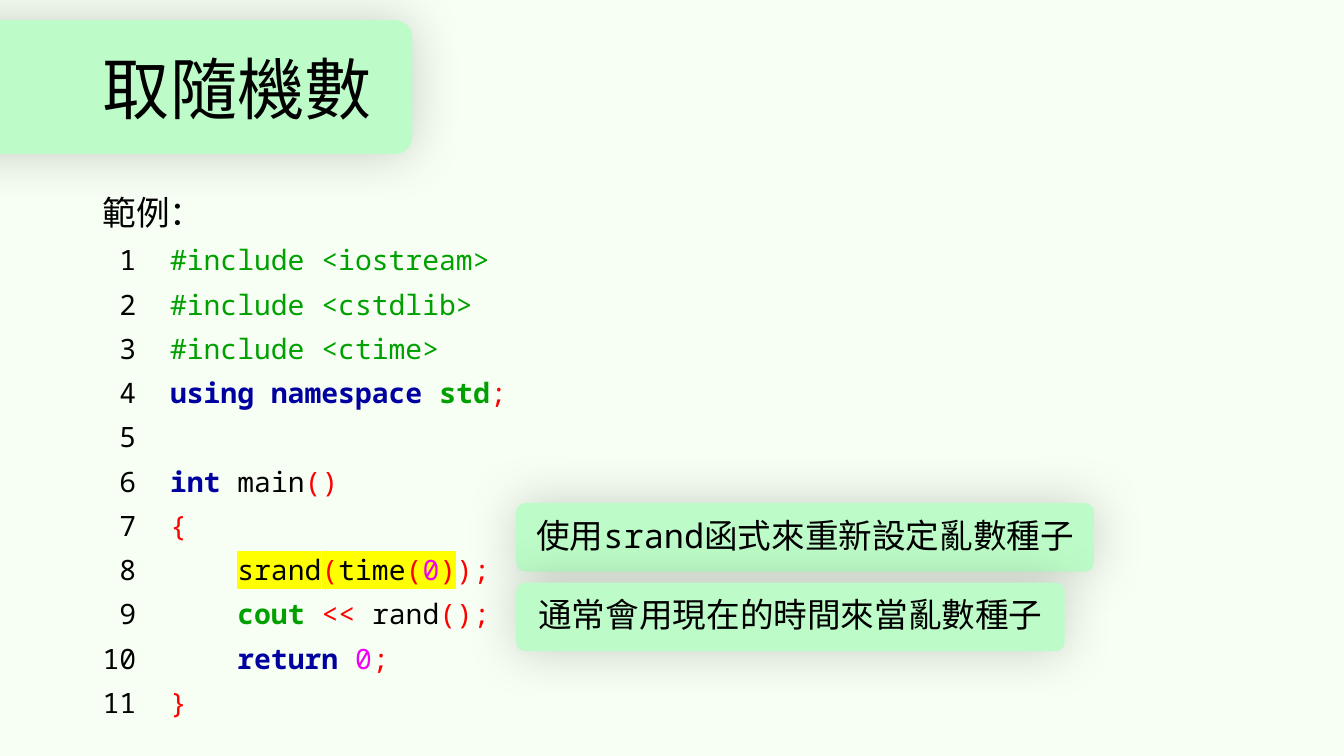
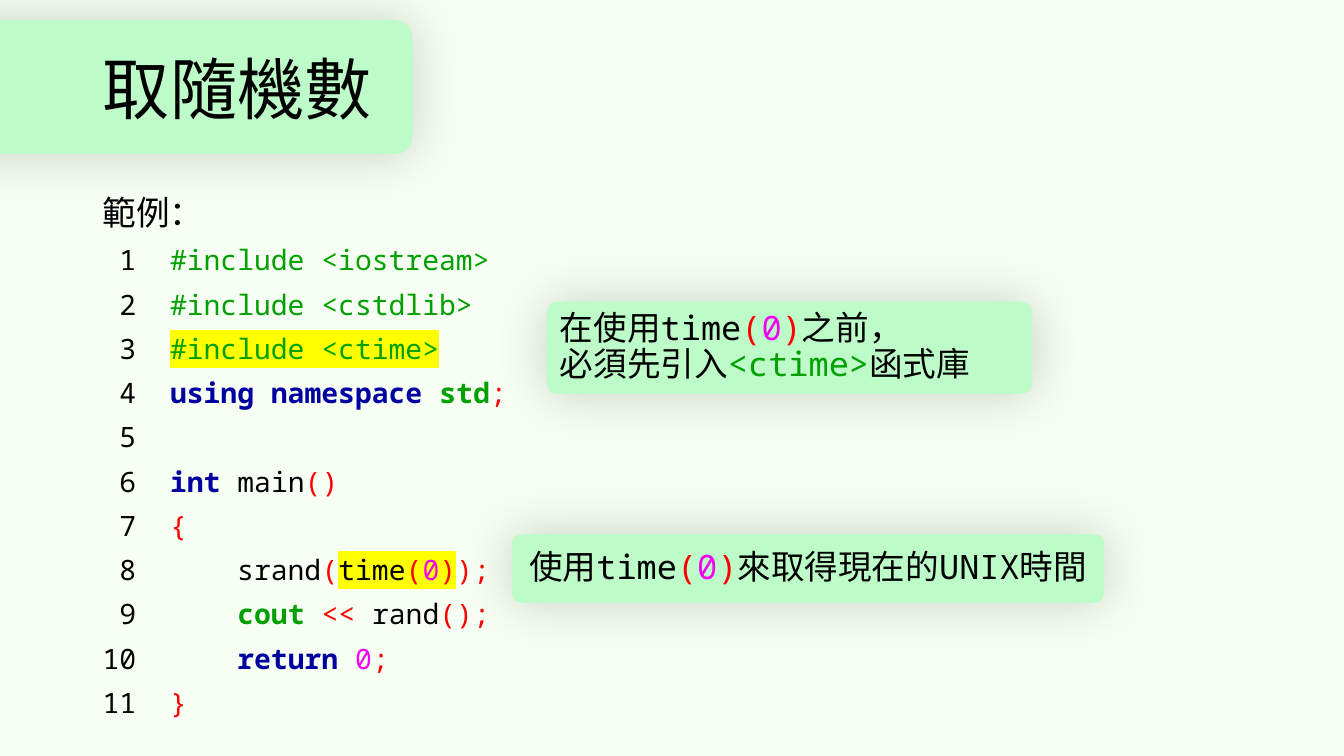
import pptx
import pptx.dml.color
import pptx.enum.shapes
import pptx.enum.text
import pptx.oxml
import pptx.oxml.ns
import pptx.util
from lxml import etree

Inches = pptx.util.Inches
Pt = pptx.util.Pt
ALIGN = pptx.enum.text.PP_ALIGN
ANCHOR = pptx.enum.text.MSO_ANCHOR

FONT = "Noto Sans Mono"
COLORS = {
    "page": "F7FFF4",
    "panel": "BDFCC8",
    "highlight": "FFFF00",
    "plain": "000000",
    "include": "00A000",
    "keyword": "0000A0",
    "name": "00A000",
    "sign": "FF0000",
    "number": "F000F0",
}
BOLD_KINDS = {"keyword", "name"}

TITLE = "取隨機數"
TITLE_BOX = (0.92, 0.39, 11.5, 1.05)
BANNER_BOX = (-1.55, 0.2, 5.64, 1.33)
CODE_BOX = (0.92, 1.9, 11.5, 5.15)
CODE_HEADING = "範例："

TIME_CALL = [("time", "plain"), ("(", "sign"), ("0", "number"), (")", "sign")]
CODE = [
    [("#include <iostream>", "include")],
    [("#include <cstdlib>", "include")],
    [("#include <ctime>", "include")],
    [("using namespace ", "keyword"), ("std", "name"), (";", "sign")],
    [],
    [("int ", "keyword"), ("main", "plain"), ("()", "sign")],
    [("{", "sign")],
    [("    ", "plain"), ("srand", "plain"), ("(", "sign"), *TIME_CALL,
     (")", "sign"), (";", "sign")],
    [("    ", "plain"), ("cout ", "name"), ("<< ", "sign"), ("rand", "plain"),
     ("();", "sign")],
    [("    ", "plain"), ("return ", "keyword"), ("0", "number"), (";", "sign")],
    [("}", "sign")],
]

# "marks" gives, for a line number, which of its spans are highlighted.
PAGES = [
    {
        "marks": {8: range(1, 7)},
        "callouts": [
            ((5.12, 4.99, 5.73, 0.68), ALIGN.CENTER,
             [[("使用srand函式來重新設定亂數種子", "plain")]]),
            ((5.12, 5.78, 5.44, 0.68), ALIGN.CENTER,
             [[("通常會用現在的時間來當亂數種子", "plain")]]),
        ],
    },
    {
        "marks": {3: range(0, 1), 8: range(3, 7)},
        "callouts": [
            ((5.08, 5.3, 5.87, 0.68), ALIGN.CENTER,
             [[("使用", "plain"), *TIME_CALL, ("來取得現在的UNIX時間", "plain")]]),
            ((5.42, 2.99, 4.82, 0.92), ALIGN.LEFT,
             [[("在使用", "plain"), *TIME_CALL, ("之前，", "plain")],
              [("必須先引入", "plain"), ("<ctime>", "include"),
               ("函式庫", "plain")]]),
        ],
    },
]


def rgb(key):
    return pptx.dml.color.RGBColor.from_string(COLORS[key])


def set_all(target, values):
    for name, value in values.items():
        setattr(target, name, value)


def add_span(para, text, kind, size, marked=False):
    span = para.add_run()
    span.text = text
    set_all(span.font, {"name": FONT, "size": Pt(size), "bold": kind in BOLD_KINDS})
    span.font.color.rgb = rgb(kind)
    qn = pptx.oxml.ns.qn
    props = span.font._element
    east_asian = etree.Element(qn("a:ea"), typeface=FONT)
    props.find(qn("a:latin")).addnext(east_asian)
    if marked:
        highlight = etree.Element(qn("a:highlight"))
        etree.SubElement(highlight, qn("a:srgbClr"), val=COLORS["highlight"])
        props.find(qn("a:solidFill")).addnext(highlight)


def add_panel(page, box):
    """Add a rounded green panel with a soft shadow."""
    panel = page.shapes.add_shape(
        pptx.enum.shapes.MSO_SHAPE.ROUNDED_RECTANGLE, *map(Inches, box))
    panel.adjustments[0] = 0.13
    panel.fill.solid()
    panel.fill.fore_color.rgb = rgb("panel")
    panel.line.fill.background()
    panel.shadow.inherit = False
    effects = panel._element.spPr.find(pptx.oxml.ns.qn("a:effectLst"))
    effects.append(pptx.oxml.parse_xml(
        f'<a:outerShdw {pptx.oxml.ns.nsdecls("a")} blurRad="{Pt(38)}" dist="0"'
        ' algn="ctr" rotWithShape="0"><a:srgbClr val="000000">'
        '<a:alpha val="19000"/></a:srgbClr></a:outerShdw>'))
    return panel


def add_title(page):
    title = page.shapes.title
    placement = zip(("left", "top", "width", "height"), map(Inches, TITLE_BOX))
    set_all(title, dict(placement))
    banner = add_panel(page, BANNER_BOX)
    title._element.addprevious(banner._element)
    set_all(title.text_frame, {
        "vertical_anchor": ANCHOR.MIDDLE,
        "word_wrap": True,
        "auto_size": pptx.enum.text.MSO_AUTO_SIZE.NONE,
    })
    para = title.text_frame.paragraphs[0]
    set_all(para, {"alignment": ALIGN.LEFT, "line_spacing": 0.9})
    add_span(para, TITLE, "plain", 48)


def add_code(page, box, marks):
    frame = page.shapes.add_textbox(*map(Inches, box)).text_frame
    frame.word_wrap = True
    heading = frame.paragraphs[0]
    heading.line_spacing = 0.9
    add_span(heading, CODE_HEADING, "plain", 24)
    for number, line in enumerate(CODE, 1):
        para = frame.add_paragraph()
        set_all(para, {"line_spacing": 0.9, "space_before": Pt(10)})
        add_span(para, f"{number:>2}  " if line else f"{number:>2}", "plain", 20)
        for index, (text, kind) in enumerate(line):
            add_span(para, text, kind, 20, index in marks.get(number, ()))


def add_callout(page, box, alignment, lines):
    frame = add_panel(page, box).text_frame
    set_all(frame, {"word_wrap": True, "vertical_anchor": ANCHOR.MIDDLE})
    para = frame.paragraphs[0]
    set_all(para, {"alignment": alignment, "line_spacing": 0.9})
    for index, line in enumerate(lines):
        if index:
            para.add_line_break()
        for text, kind in line:
            add_span(para, text, kind, 24)


def add_page(deck, marks, callouts):
    page = deck.slides.add_slide(deck.slide_layouts.get_by_name("Title Only"))
    add_title(page)
    add_code(page, CODE_BOX, marks)
    for box, alignment, lines in callouts:
        add_callout(page, box, alignment, lines)


def main():
    deck = pptx.Presentation()
    set_all(deck, {"slide_width": Inches(13.33), "slide_height": Inches(7.5)})
    backdrop = deck.slide_master.background.fill
    backdrop.solid()
    backdrop.fore_color.rgb = rgb("page")
    for content in PAGES:
        add_page(deck, **content)
    deck.save("out.pptx")


if __name__ == "__main__":
    main()
